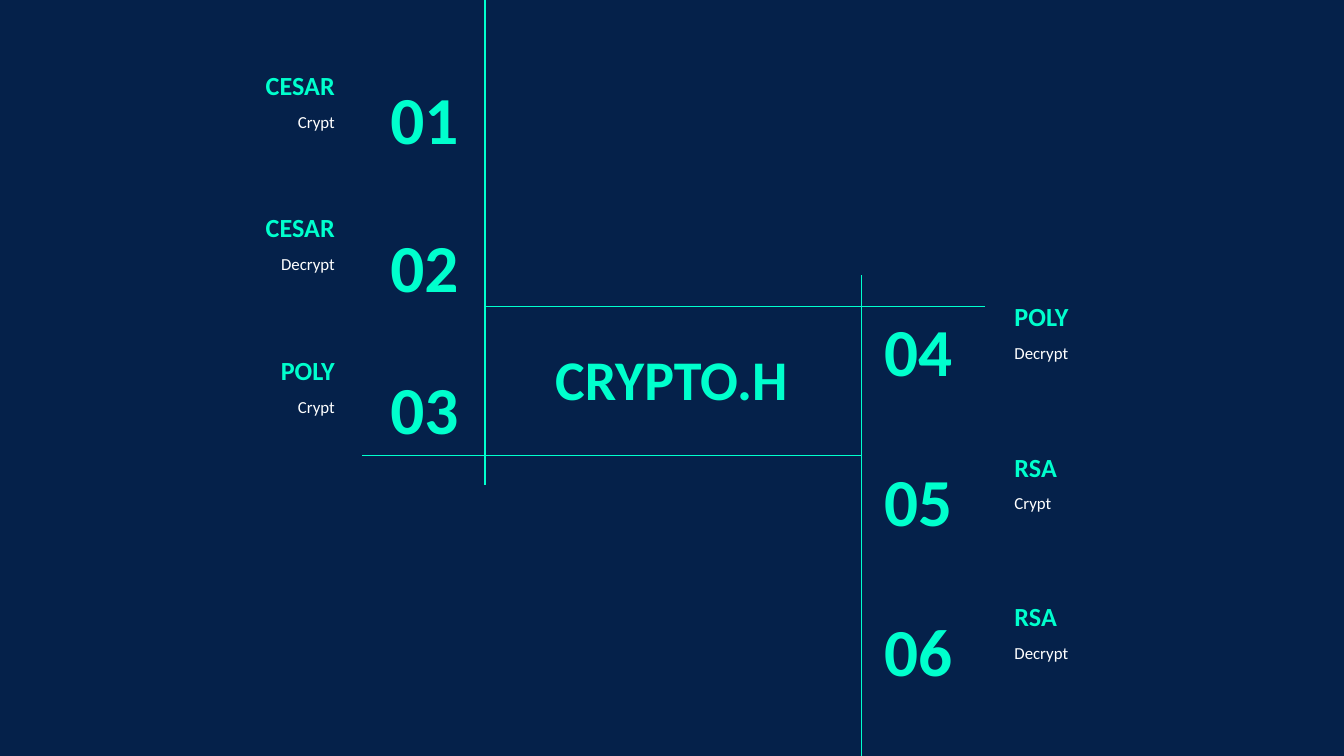
"""Build the CRYPTO.H overview slide with six numbered functions."""
from lxml import etree
from pptx import Presentation
from pptx.dml.color import RGBColor
from pptx.enum import shapes, text
from pptx.oxml import ns
from pptx.util import Inches, Pt

NAVY, MINT, WHITE = "05214A", "00FFCD", "FFFFFF"
LEFT, CENTER, RIGHT = text.PP_ALIGN.LEFT, text.PP_ALIGN.CENTER, text.PP_ALIGN.RIGHT
TOP, MIDDLE, BOTTOM = text.MSO_ANCHOR.TOP, text.MSO_ANCHOR.MIDDLE, text.MSO_ANCHOR.BOTTOM

ROW_HEIGHT = 0.63
DETAIL_DROP = 0.5

SIDES = [
    {
        "align": RIGHT,
        "heading": (0.43, 2.16), "detail": (0.76, 1.83), "number": (2.3, 1.21),
        "rows": [
            ("01", "CESAR", "Crypt", 0.22, 0.56),
            ("02", "CESAR", "Decrypt", 1.28, 1.66),
            ("03", "POLY", "Crypt", 2.34, 2.72),
        ],
    },
    {
        "align": LEFT,
        "heading": (7.45, 2.16), "detail": (7.45, 1.83), "number": (6.48, 1.17),
        "rows": [
            ("04", "POLY", "Decrypt", 1.94, 2.29),
            ("05", "RSA", "Crypt", 3.06, 3.4),
            ("06", "RSA", "Decrypt", 4.17, 4.52),
        ],
    },
]

LINES = [
    (3.61, 0, 3.61, 3.61),
    (6.41, 2.05, 6.41, 5.64),
    (7.33, 2.28, 3.61, 2.28),
    (6.41, 3.39, 2.69, 3.39),
]


def color(value):
    """Turn a hex string into a colour."""
    return RGBColor.from_string(value)


def add_text(page, words, area, size, align, anchor, ink=MINT, bold=True, spacing=1.0):
    """Place one line of text in a box."""
    box = page.shapes.add_textbox(*map(Inches, area))
    frame = box.text_frame
    frame.word_wrap = True
    frame.vertical_anchor = anchor
    frame.margin_left = frame.margin_right = Inches(0.1)
    frame.margin_top = frame.margin_bottom = Inches(0.1)
    frame.text = words
    para = frame.paragraphs[0]
    para.alignment = align
    para.line_spacing = spacing
    font = para.runs[0].font
    font.name, font.size, font.bold = "Calibri", Pt(size), bold
    font.color.rgb = color(ink)


def add_line(page, ends):
    """Draw one thin straight line."""
    line = page.shapes.add_connector(shapes.MSO_CONNECTOR.STRAIGHT, *map(Inches, ends))
    line.line.color.rgb = color(MINT)
    line.line.width = Pt(0.75)
    etree.SubElement(line._element.spPr, ns.qn("a:effectLst"))


def add_side(page, side):
    """Place the numbered functions of one side."""
    align = side["align"]

    def area(part, y):
        """Give the box of one part of a row."""
        x, width = side[part]
        return x, y, width, ROW_HEIGHT

    for number, heading, detail, top, number_top in side["rows"]:
        add_text(page, heading, area("heading", top), 14, align, BOTTOM)
        add_text(page, detail, area("detail", top + DETAIL_DROP), 9, align, TOP,
                 WHITE, False, 1.15)
        add_text(page, number, area("number", number_top), 36, align, MIDDLE)


def main():
    """Build and save the deck."""
    deck = Presentation()
    deck.slide_width = Inches(10)
    deck.slide_height = deck.slide_width * 9 // 16
    page = deck.slides.add_slide(deck.slide_layouts[6])
    page.background.fill.solid()
    page.background.fill.fore_color.rgb = color(NAVY)
    add_text(page, "CRYPTO.H", (3.7, 2.3, 2.59, 1.03), 30, CENTER, MIDDLE)
    for side in SIDES:
        add_side(page, side)
    for ends in LINES:
        add_line(page, ends)
    deck.save("out.pptx")


if __name__ == "__main__":
    main()
